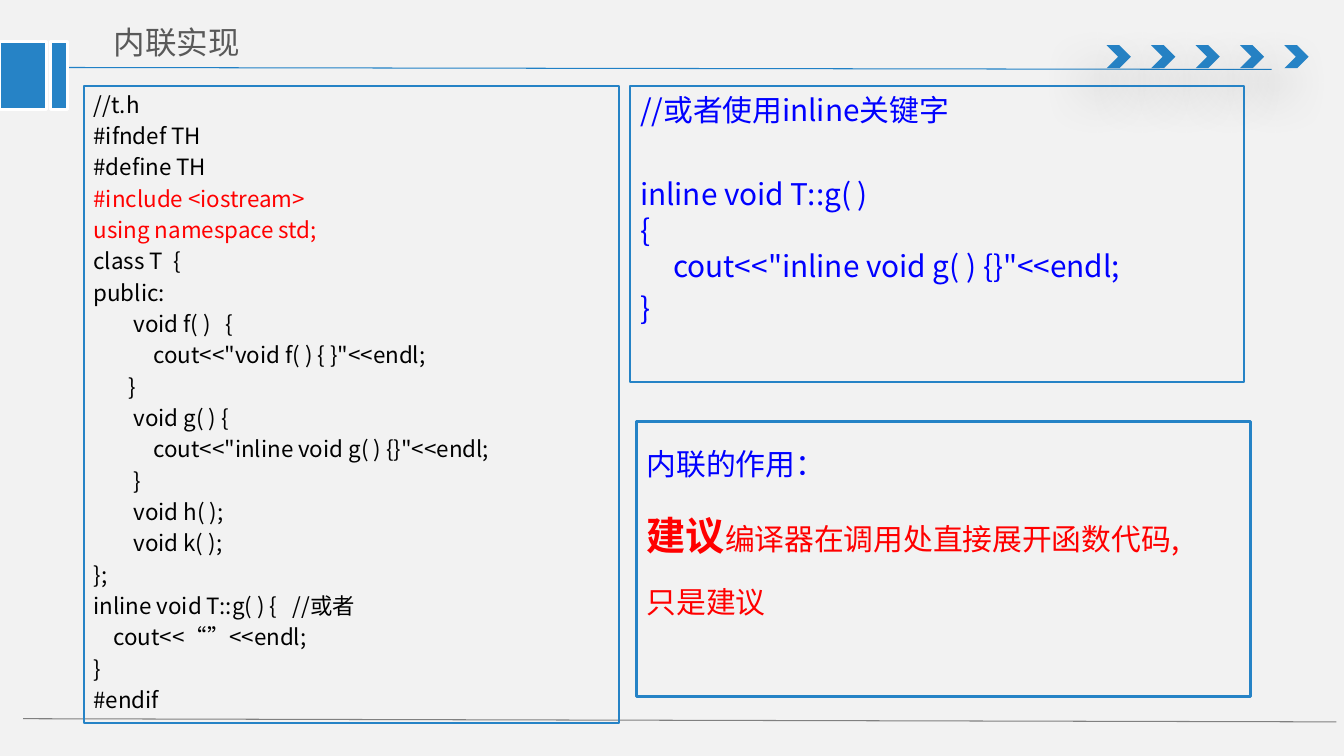
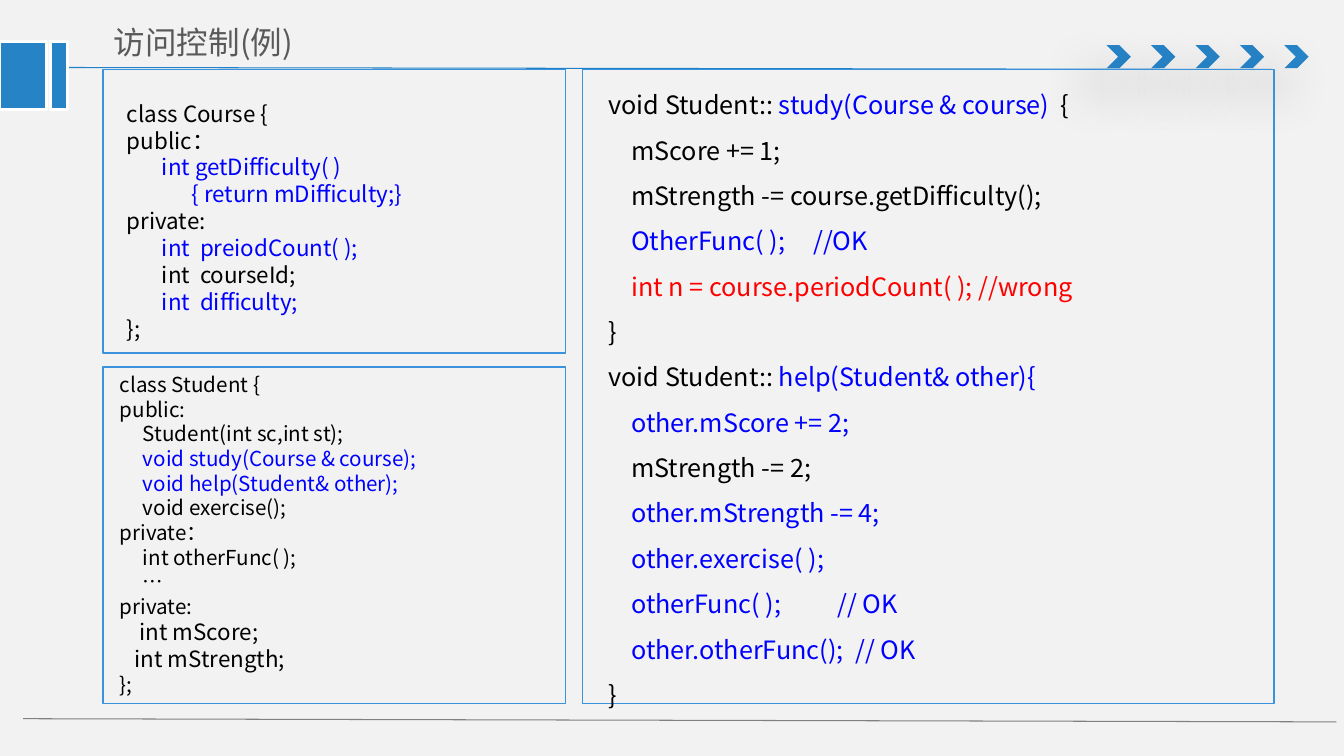
import pptx
import pptx.dml.color
import pptx.enum.shapes
import pptx.enum.text
import pptx.oxml
import pptx.oxml.ns
import pptx.util

Cm = pptx.util.Cm
Pt = pptx.util.Pt
SHAPE = pptx.enum.shapes.MSO_SHAPE
FONT = "Noto Sans CJK SC"
COLOURS = {
    "paper": "F2F2F2",
    "accent": "2683C6",
    "rule": "2181C6",
    "frame": "3992DB",
    "grey": "808080",
    "title": "595959",
    "white": "FFFFFF",
    "black": "000000",
    "blue": "0000FF",
    "red": "FF0000",
}
NAMESPACE = 'xmlns:a="http://schemas.openxmlformats.org/drawingml/2006/main"'
CHEVRON_SHADOW = (
    f'<a:effectLst {NAMESPACE}><a:outerShdw blurRad="457200" dist="304800" '
    'dir="7800000" rotWithShape="0"><a:srgbClr val="000000">'
    '<a:alpha val="38000"/></a:srgbClr></a:outerShdw></a:effectLst>'
)

HEADER_CODE = [
    ("black", "//t.h\n#ifndef TH\n#define TH\n"),
    ("red", "#include <iostream>\nusing namespace std;\n"),
    ("black", """class T  {
public:
        void f( )   {
            cout<<"void f( ) { }"<<endl;
       }
        void g( ) {
            cout<<"inline void g( ) {}"<<endl;
        }
        void h( );
        void k( );
};
inline void T::g( ) {   //或者
    cout<<“”<<endl;
}
#endif"""),
]
KEYWORD_CODE = [
    ("blue", """//或者使用inline关键字
inline void T::g( )
{
     cout<<"inline void g( ) {}"<<endl;
}"""),
]
INLINE_PURPOSE = [
    ("blue", "内联的作用：\n"),
    ("red", "建议"),
    ("red", "编译器在调用处直接展开函数代码,\n只是建议"),
]
COURSE_CODE = [
    ("black", "class Course {\npublic：\n       "),
    ("blue", "int getDifficulty( )\n             { return mDifficulty;}\n"),
    ("black", "private:\n       "),
    ("blue", "int  preiodCount( );\n"),
    ("black", "       int  courseId;\n       "),
    ("blue", "int  difficulty;\n"),
    ("black", "};"),
]
STUDENT_CODE = [
    ("black", "class Student {\npublic:\n     Student(int sc,int st);\n"),
    ("blue", "     void study(Course & course);\n     void help(Student& other);\n"),
    ("black", """     void exercise();
private：
     int otherFunc( );
     …
private:
    int mScore;
   int mStrength;
};"""),
]
METHOD_CODE = [
    ("black", "void Student:: "),
    ("blue", "study(Course & course)  "),
    ("black", "{\n    mScore += 1;\n    mStrength -= course.getDifficulty();\n    "),
    ("blue", "OtherFunc( );     //OK\n    "),
    ("red", "int n = course.periodCount( ); //wrong\n"),
    ("black", "}\nvoid Student:: "),
    ("blue", "help(Student& other){\n    other.mScore += 2;\n    "),
    ("black", "mStrength -= 2;\n    "),
    ("blue", """other.mStrength -= 4;
    other.exercise( );
    otherFunc( );          // OK
    other.otherFunc();  // OK
"""),
    ("black", "}"),
]


def colour(name):
    return pptx.dml.color.RGBColor.from_string(COLOURS[name])


def format_span(span, size, colour_name):
    span.font.size = Pt(size)
    span.font.color.rgb = colour(colour_name)
    span.font.name = FONT
    properties = span.font._element
    east_asian = properties.makeelement(pptx.oxml.ns.qn("a:ea"), {"typeface": FONT})
    properties.find(pptx.oxml.ns.qn("a:latin")).addnext(east_asian)


def add_shape(shapes, preset, box, fill=None, line=None, width=1):
    shape = shapes.add_shape(preset, *map(Cm, box))
    shape.shadow.inherit = False
    if fill:
        shape.fill.solid()
        shape.fill.fore_color.rgb = colour(fill)
    else:
        shape.fill.background()
    if line:
        shape.line.color.rgb = colour(line)
        shape.line.width = Pt(width)
    else:
        shape.line.fill.background()
    return shape


def add_rule(shapes, start, end, line):
    rule = shapes.add_connector(
        pptx.enum.shapes.MSO_CONNECTOR.STRAIGHT, *map(Cm, start + end))
    rule.line.color.rgb = colour(line)
    rule.line.width = Pt(0.75)
    rule.element.spPr.append(pptx.oxml.parse_xml(f"<a:effectLst {NAMESPACE}/>"))


def write_lines(frame, spans, size, pitch, before=0):
    frame.word_wrap = True
    frame.vertical_anchor = pptx.enum.text.MSO_ANCHOR.TOP
    para = frame.paragraphs[0]
    for colour_name, text in spans:
        for number, piece in enumerate(text.split("\n")):
            if number:
                para = frame.add_paragraph()
                para.space_before = Pt(before)
            if piece:
                span = para.add_run()
                span.text = piece
                format_span(span, size, colour_name)
    for para in frame.paragraphs:
        para.alignment = pptx.enum.text.PP_ALIGN.LEFT
        para.line_spacing = Pt(pitch)


def add_panel(page, box, spans, size, pitch, before, width=1.5):
    panel = add_shape(page.shapes, SHAPE.RECTANGLE, box, line="accent", width=width)
    write_lines(panel.text_frame, spans, size, pitch, before)
    return panel.text_frame.paragraphs


def add_framed_code(page, box, inset, spans, size, pitch):
    left, top, width, height = box
    group = page.shapes.add_group_shape()
    add_shape(group.shapes, SHAPE.RECTANGLE, box, line="frame", width=1.25)
    text_box = group.shapes.add_textbox(
        Cm(left + inset[0]), Cm(top + inset[1]),
        Cm(width - inset[0]), Cm(height - inset[1]))
    write_lines(text_box.text_frame, spans, size, pitch)
    return text_box.text_frame.paragraphs


def draw_bands(shapes):
    add_rule(shapes, (1.35, 1.7), (32.05, 1.75), "rule")
    for index in range(5):
        chevron = add_shape(
            shapes, SHAPE.CHEVRON, (27.89 + 1.12 * index, 1.14, 0.61, 0.58), "accent")
        properties = chevron.element.spPr
        properties.remove(properties.find(pptx.oxml.ns.qn("a:effectLst")))
        properties.append(pptx.oxml.parse_xml(CHEVRON_SHADOW))
    add_rule(shapes, (0.58, 18.11), (33.68, 18.19), "grey")
    for left, width in ((0, 1.17), (1.27, 0.43)):
        add_shape(shapes, SHAPE.RECTANGLE, (left, 1.04, width, 1.73),
                  "accent", "white", 2)


def prepare_layout(deck):
    layout = deck.slide_layouts[5]
    layout.background.fill.solid()
    layout.background.fill.fore_color.rgb = colour("paper")
    for holder in list(layout.placeholders):
        if holder.placeholder_format.type != pptx.enum.shapes.PP_PLACEHOLDER.TITLE:
            holder.element.getparent().remove(holder.element)
            continue
        holder.left, holder.top, holder.width, holder.height = map(
            Cm, (2.51, 0.36, 11.76, 1.4))
        frame = holder.text_frame
        frame.vertical_anchor = pptx.enum.text.MSO_ANCHOR.MIDDLE
        frame.margin_left = frame.margin_right = Cm(0.36)
        frame.margin_top = frame.margin_bottom = Cm(0.18)
    return layout


def move_bands_to_layout(page, layout):
    draw_bands(page.shapes)
    for number, shape in enumerate(list(page.shapes)):
        if not shape.is_placeholder:
            shape.element.xpath("./*/p:cNvPr")[0].set("id", str(100 + number))
            layout.shapes.element.append(shape.element)


def add_page(deck, layout, title):
    page = deck.slides.add_slide(layout)
    frame = page.shapes.title.text_frame
    frame.text = title
    frame.auto_size = pptx.enum.text.MSO_AUTO_SIZE.NONE
    para = frame.paragraphs[0]
    para.alignment = pptx.enum.text.PP_ALIGN.LEFT
    format_span(para.runs[0], 22.5, "title")
    return page


def fill_inline_page(page):
    add_panel(page, (2.11, 2.16, 13.49, 16.05), HEADER_CODE, 16, 19.2, 3.2)
    keyword = add_panel(page, (15.88, 2.16, 15.47, 7.47), KEYWORD_CODE, 21.3, 26, 0)
    keyword[1].space_before = Pt(34)
    keyword[4].space_before = Pt(4)
    purpose = add_panel(page, (16.05, 10.62, 15.47, 6.93),
                        INLINE_PURPOSE, 21.3, 39, 4.3, 2.25)
    purpose[1].line_spacing = Pt(51)
    emphasis = purpose[1].runs[0].font
    emphasis.size = Pt(28)
    emphasis.bold = True


def fill_access_page(page):
    add_framed_code(page, (2.59, 1.75, 11.66, 7.14), (0.36, 0.64), COURSE_CODE, 16, 19.2)
    add_framed_code(page, (14.68, 1.75, 17.42, 15.98), (0.41, 0), METHOD_CODE, 18, 32.4)
    student = add_framed_code(
        page, (2.59, 9.25, 11.66, 8.48), (0.18, 0), STUDENT_CODE, 14.7, 17.6)
    for para in student[10:12]:
        para.line_spacing = Pt(19.2)
        para.runs[0].font.size = Pt(16)


def main():
    deck = pptx.Presentation()
    deck.slide_width = Cm(33.87)
    deck.slide_height = Cm(19.05)
    layout = prepare_layout(deck)
    inline_page = add_page(deck, layout, "内联实现")
    move_bands_to_layout(inline_page, layout)
    fill_inline_page(inline_page)
    fill_access_page(add_page(deck, layout, "访问控制(例)"))
    deck.save("out.pptx")


if __name__ == "__main__":
    main()
